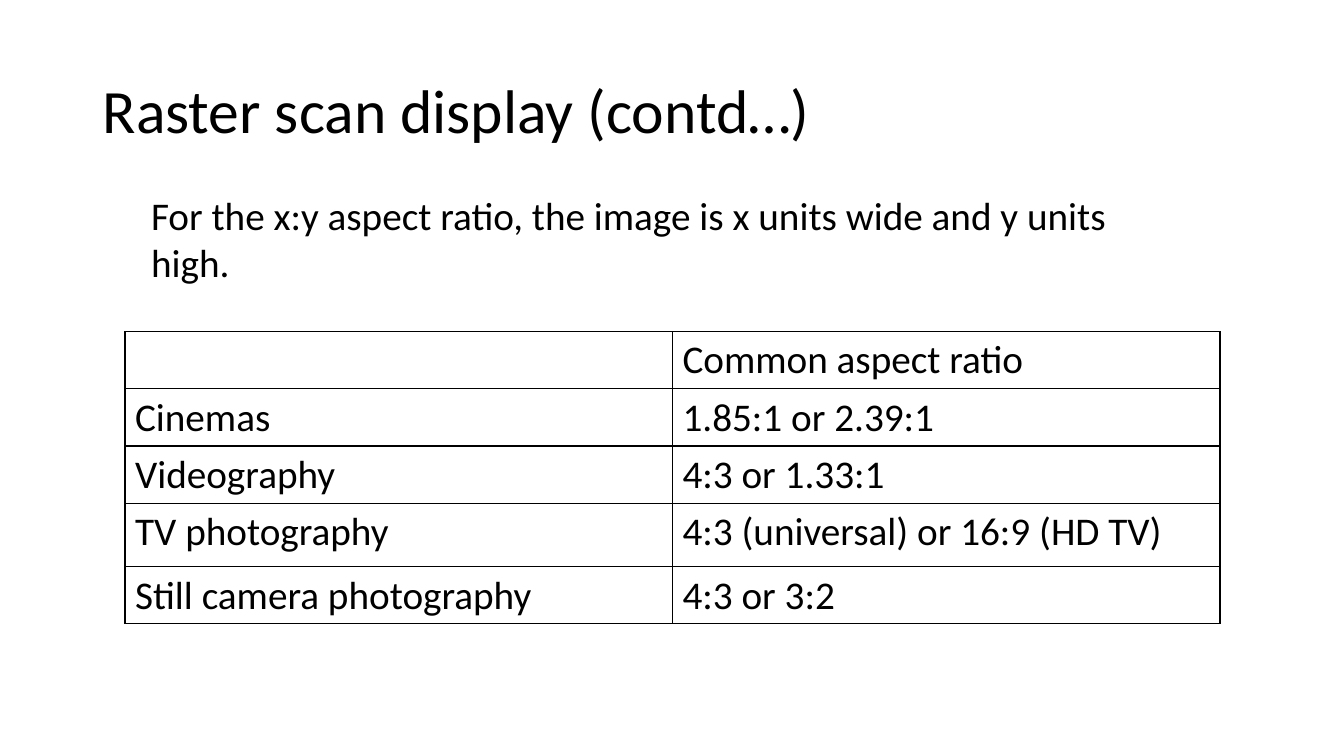
from lxml import etree
from pptx import Presentation
from pptx.dml.color import RGBColor
from pptx.enum.text import MSO_ANCHOR
from pptx.oxml.ns import qn
from pptx.util import Inches, Pt

BLACK = RGBColor(0, 0, 0)
TOP = MSO_ANCHOR.TOP
MIDDLE = MSO_ANCHOR.MIDDLE
BLANK_LAYOUT = 6

ASPECT_RATIOS = [
    ("", "Common aspect ratio"),
    ("Cinemas", "1.85:1 or 2.39:1"),
    ("Videography", "4:3 or 1.33:1"),
    ("TV photography", "4:3 (universal) or 16:9 (HD TV)"),
    ("Still camera photography", "4:3 or 3:2"),
]
ROW_HEIGHTS = [0.55, 0.55, 0.55, 0.63, 0.55]


def write_text(frame, text, size=28, font="Calibri", color=BLACK, spacing=1.0):
    """Write one formatted paragraph into a text frame."""
    para = frame.paragraphs[0]
    para.line_spacing = spacing
    span = para.add_run()
    span.text = text
    span.font.size = Pt(size)
    span.font.name = font
    span.font.color.rgb = color


class SlideBuilder:
    """Hold the line style and current slide, and add elements to it."""

    def __init__(self, page, line_color=BLACK, line_width=1):
        self.page = page
        self.line_color = line_color
        self.line_width = line_width

    def text(self, text, left, top, width, height, anchor=TOP, **style):
        """Add a wrapping text box."""
        box = self.page.shapes.add_textbox(
            Inches(left), Inches(top), Inches(width), Inches(height))
        box.text_frame.word_wrap = True
        box.text_frame.vertical_anchor = anchor
        write_text(box.text_frame, text, **style)

    def border(self, cell):
        """Draw a line on all four sides of a cell."""
        properties = cell._tc.get_or_add_tcPr()
        for side in ("a:lnL", "a:lnR", "a:lnT", "a:lnB"):
            line = etree.SubElement(
                properties, qn(side), w=str(Pt(self.line_width)))
            fill = etree.SubElement(line, qn("a:solidFill"))
            etree.SubElement(fill, qn("a:srgbClr"), val=str(self.line_color))

    def table(self, rows, heights, left, top, width):
        """Add a plain bordered table with equal columns."""
        table = self.page.shapes.add_table(
            len(rows), len(rows[0]), Inches(left), Inches(top),
            Inches(width), Inches(sum(heights))).table
        table.first_row = False
        table.horz_banding = False
        for row, height, texts in zip(table.rows, heights, rows):
            row.height = Inches(height)
            for cell, text in zip(row.cells, texts):
                self.border(cell)
                cell.fill.background()
                if text:
                    write_text(cell.text_frame, text)


def main():
    """Build and save the slide."""
    deck = Presentation()
    deck.slide_width = Inches(13.33)
    deck.slide_height = Inches(7.5)
    page = deck.slides.add_slide(deck.slide_layouts[BLANK_LAYOUT])
    builder = SlideBuilder(page)
    builder.text("Raster scan display (contd…)", 0.92, 0.4, 11.5, 1.45,
                 anchor=MIDDLE, size=44, spacing=0.9)
    builder.table(ASPECT_RATIOS, ROW_HEIGHTS, 1.24, 3.29, 10.86)
    builder.text("For the x:y aspect ratio, the image is x units wide "
                 "and y units high.", 1.4, 1.85, 10.35, 1.04)
    deck.save("out.pptx")


if __name__ == "__main__":
    main()
